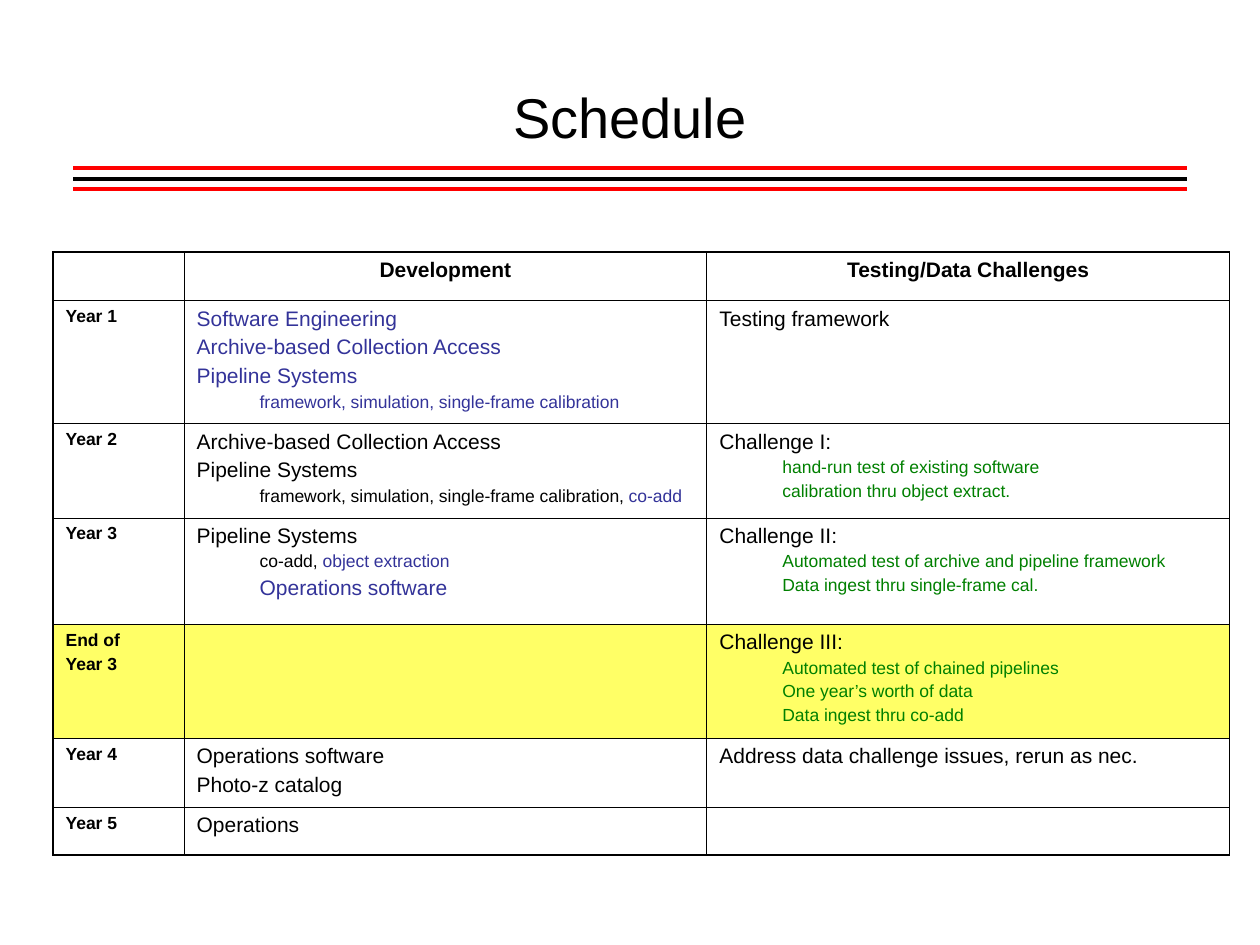
from lxml import etree
from pptx import Presentation
from pptx.dml.color import RGBColor
from pptx.enum.shapes import MSO_CONNECTOR
from pptx.enum.text import MSO_ANCHOR, PP_ALIGN
from pptx.oxml.ns import qn
from pptx.util import Cm, Pt

LINE = MSO_CONNECTOR.STRAIGHT
CENTER = PP_ALIGN.CENTER
MIDDLE = MSO_ANCHOR.MIDDLE
FONT = "Arial"
HEX = {"black": "000000", "red": "FF0000", "blue": "333399",
       "green": "008000", "yellow": "FFFF66"}

# Paragraph styles: size, bold, indent in cm, space before
STYLES = {"head": (12, True, 0, 3), "year": (10, True, 0, 2.5),
          "main": (12, False, 0, 3), "sub": (10, False, 1.27, 2.5),
          "deep": (12, False, 1.27, 3)}

# Each cell lists paragraphs: style, then text and colour pairs
ROWS = [
    [[], [("head", "Development", "black")],
     [("head", "Testing/Data Challenges", "black")]],
    [[("year", "Year 1", "black")],
     [("main", "Software Engineering", "blue"),
      ("main", "Archive-based Collection Access", "blue"),
      ("main", "Pipeline Systems", "blue"),
      ("sub", "framework, simulation, single-frame calibration", "blue")],
     [("main", "Testing framework", "black")]],
    [[("year", "Year 2", "black")],
     [("main", "Archive-based Collection Access", "black"),
      ("main", "Pipeline Systems", "black"),
      ("sub", "framework, simulation, single-frame calibration, ", "black",
       "co-add", "blue")],
     [("main", "Challenge I:", "black"),
      ("sub", "hand-run test of existing software", "green"),
      ("sub", "calibration thru object extract.", "green")]],
    [[("year", "Year 3", "black")],
     [("main", "Pipeline Systems", "black"),
      ("sub", "co-add, ", "black", "object extraction", "blue"),
      ("deep", "Operations software", "blue")],
     [("main", "Challenge II:", "black"),
      ("sub", "Automated test of archive and pipeline framework", "green"),
      ("sub", "Data ingest thru single-frame cal.", "green")]],
    [[("year", "End of", "black"), ("year", "Year 3", "black")],
     [],
     [("main", "Challenge III:", "black"),
      ("sub", "Automated test of chained pipelines", "green"),
      ("sub", "One year’s worth of data", "green"),
      ("sub", "Data ingest thru co-add", "green")]],
    [[("year", "Year 4", "black")],
     [("main", "Operations software", "black"),
      ("main", "Photo-z catalog", "black")],
     [("main", "Address data challenge issues, rerun as nec.", "black")]],
    [[("year", "Year 5", "black")], [("main", "Operations", "black")], []],
]
WIDTHS = [2.64, 10.54, 10.54]
HEIGHTS = [0.98, 2.48, 1.9, 2.14, 2.3, 1.39, 0.97]
MARKED = 4


def color(name):
    return RGBColor.from_string(HEX[name])


def border(cell, side, width):
    """Add one black border; sides go before the cell's fill."""
    line = etree.SubElement(cell._tc.get_or_add_tcPr(), qn(f"a:ln{side}"),
                            w=str(int(Pt(width))))
    fill = etree.SubElement(line, qn("a:solidFill"))
    etree.SubElement(fill, qn("a:srgbClr"), val=HEX["black"])


deck = Presentation()
deck.slide_width, deck.slide_height = Cm(25.4), Cm(19.05)
slide = deck.slides.add_slide(deck.slide_layouts[5])

# Title
title = slide.shapes.title
title.left, title.top = Cm(1.27), Cm(0.76)
title.width, title.height = Cm(22.86), Cm(3.18)
title.text_frame.text = "Schedule"
title.text_frame.vertical_anchor = MIDDLE
para = title.text_frame.paragraphs[0]
para.alignment = CENTER
para.font.name, para.font.size = FONT, Pt(32)
para.font.color.rgb = color("black")

# Triple rule under the title
for i, name in enumerate(["red", "black", "red"]):
    y = Cm(3.39 + 0.21 * i)
    rule = slide.shapes.add_connector(LINE, Cm(1.48), y, Cm(23.92), y)
    rule.line.color.rgb = color(name)
    rule.line.width = Pt(2.25)
    etree.SubElement(rule._element.spPr, qn("a:effectLst"))

# Schedule table
table = slide.shapes.add_table(len(ROWS), len(WIDTHS), Cm(1.07), Cm(5.08),
                               Cm(sum(WIDTHS)), Cm(sum(HEIGHTS))).table
table.first_row = table.horz_banding = False
for col, width in zip(table.columns, WIDTHS):
    col.width = Cm(width)
for row, height in zip(table.rows, HEIGHTS):
    row.height = Cm(height)

for r, row in enumerate(ROWS):
    for c, items in enumerate(row):
        cell = table.cell(r, c)

        # Heavier lines round the outside
        outer = {"L": c == 0, "R": c == len(WIDTHS) - 1,
                 "T": r == 0, "B": r == len(ROWS) - 1}
        for side, edge in outer.items():
            border(cell, side, 1.08 if edge else 0.45)
        if r == MARKED:
            cell.fill.solid()
            cell.fill.fore_color.rgb = color("yellow")
        else:
            cell.fill.background()

        # Cell text
        frame = cell.text_frame
        frame.paragraphs[0].font.size = Pt(12)
        for i, (style, *parts) in enumerate(items):
            size, bold, indent, gap = STYLES[style]
            para = frame.add_paragraph() if i else frame.paragraphs[0]
            if i:
                para.space_before = Pt(gap)
            if style == "head":
                para.alignment = CENTER
            if indent:
                para.level = 1
                props = para._p.get_or_add_pPr()
                props.set("marL", str(int(Cm(indent))))
                props.set("indent", "0")
            para.font.name, para.font.size = FONT, Pt(size)
            para.font.bold = bold
            for text, name in zip(parts[::2], parts[1::2]):
                run = para.add_run()
                run.text = text
                run.font.color.rgb = color(name)

deck.save("out.pptx")
